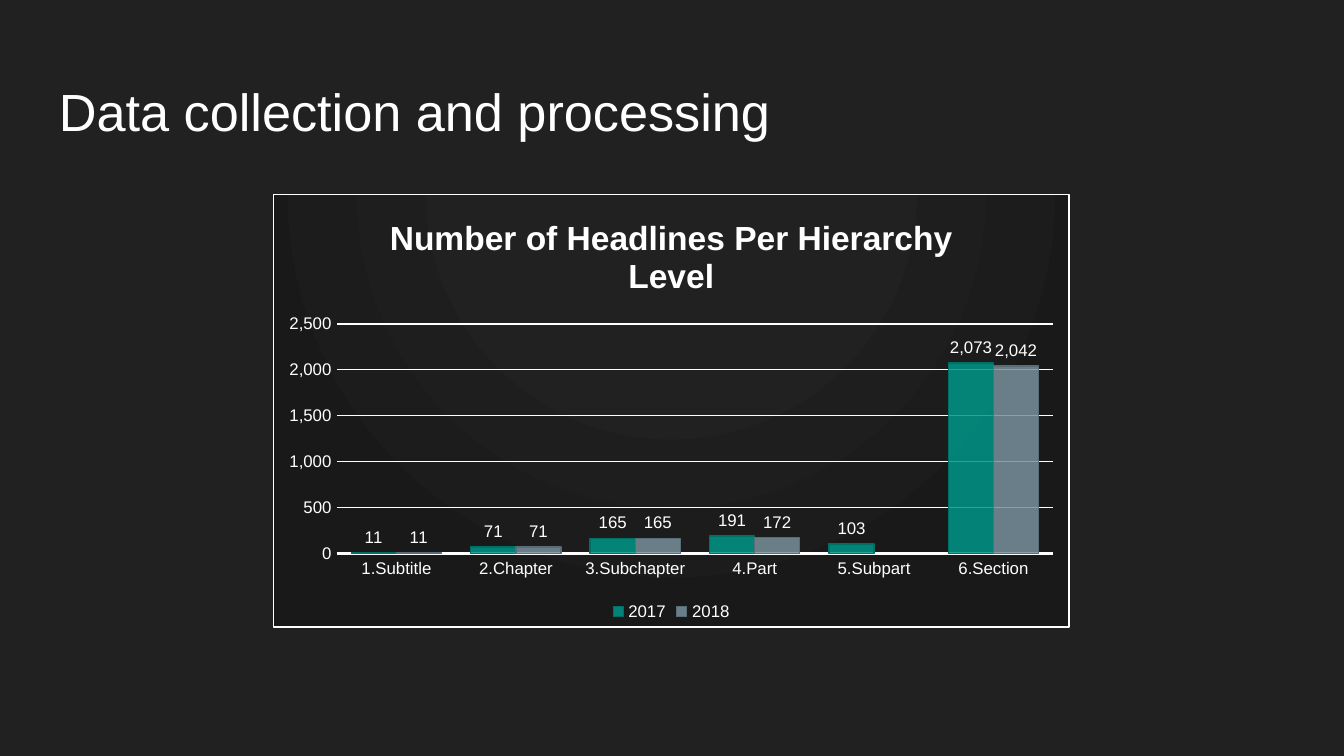
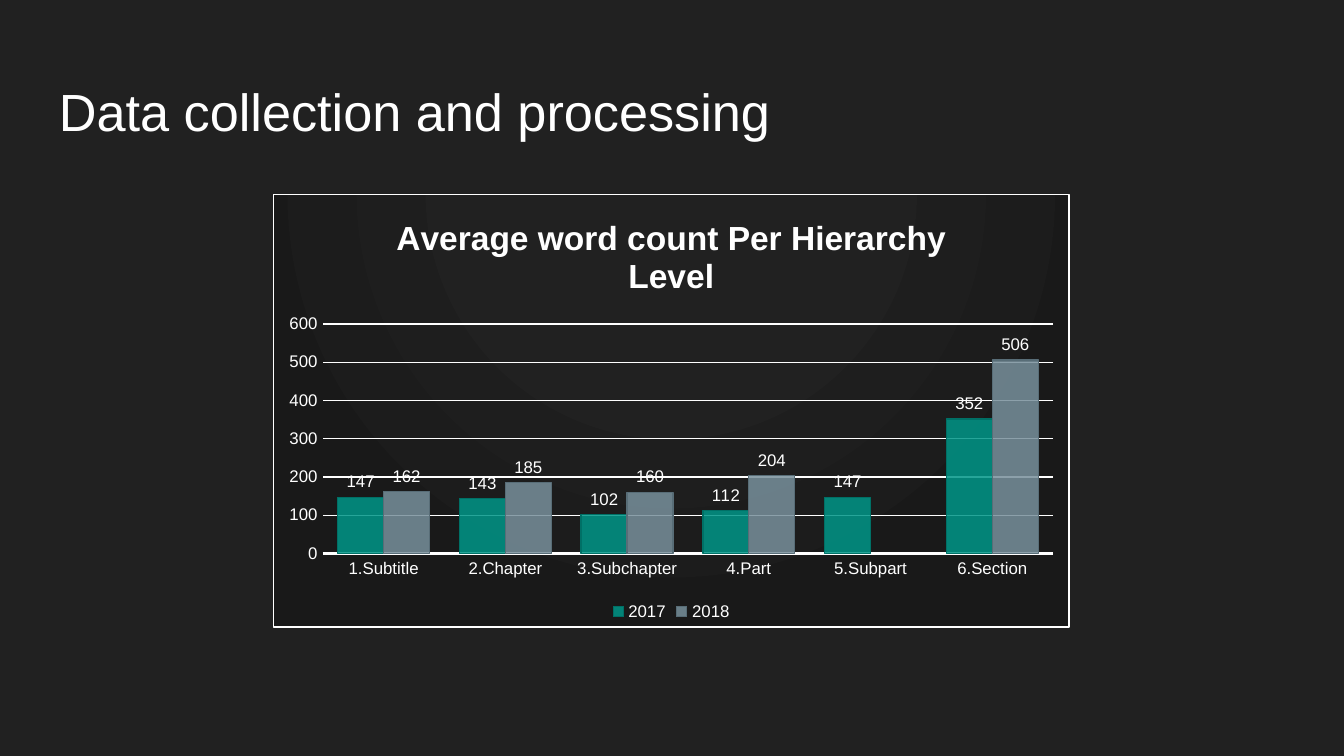
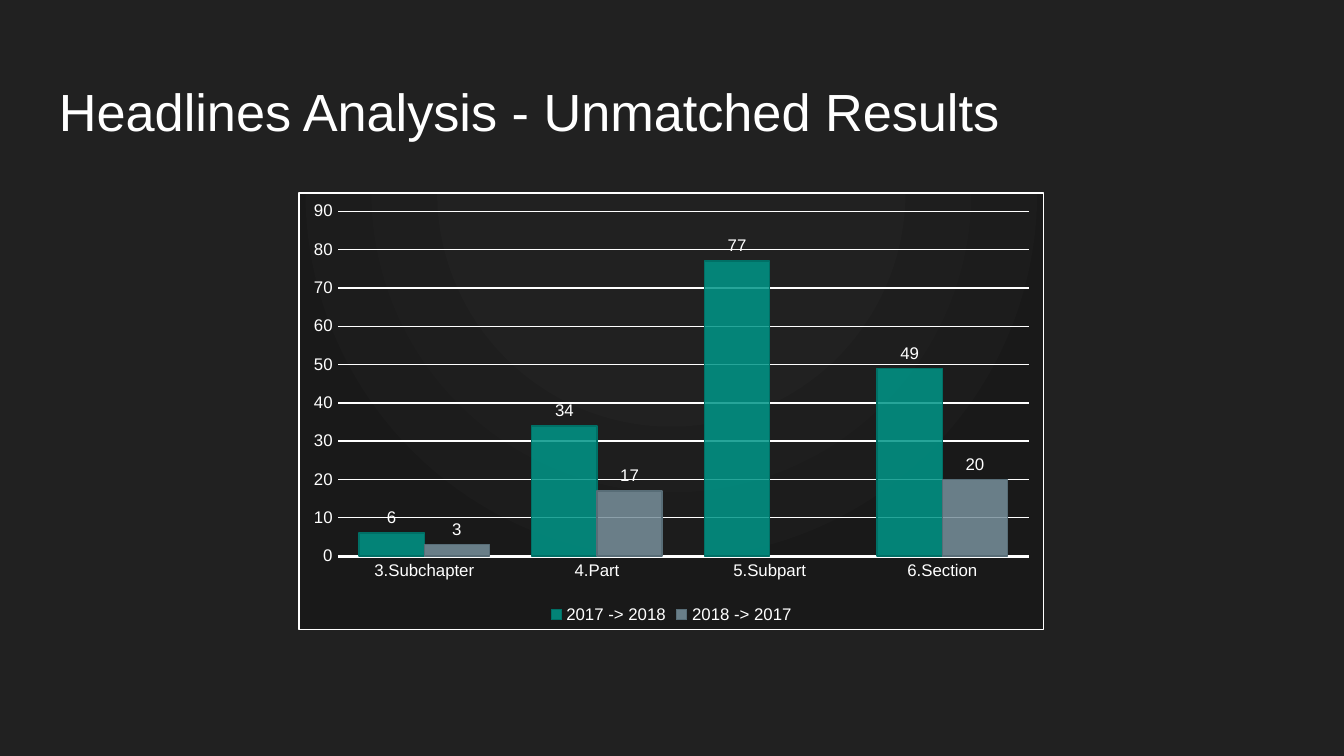
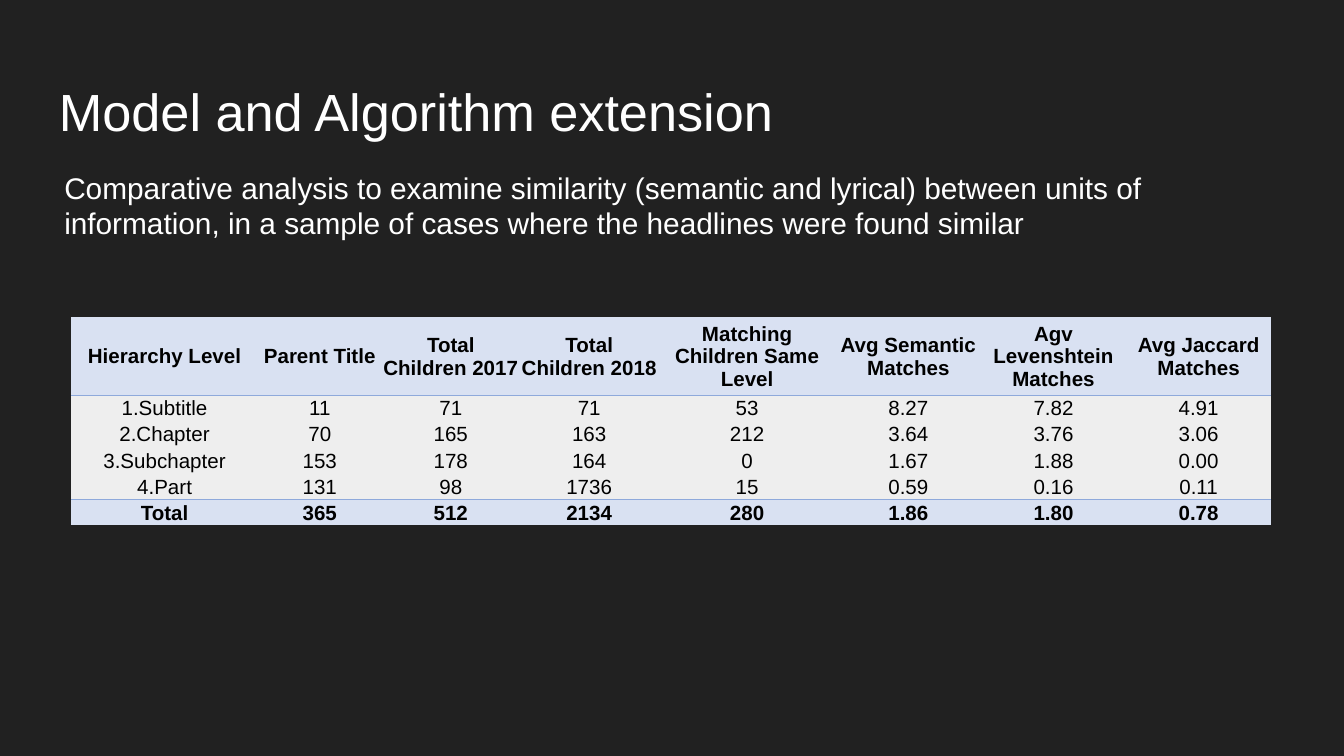
from dataclasses import dataclass

from lxml import etree
from pptx import Presentation
from pptx.chart.data import CategoryChartData
from pptx.dml.color import RGBColor
from pptx.enum.chart import XL_CHART_TYPE, XL_LABEL_POSITION, XL_LEGEND_POSITION, XL_TICK_MARK
from pptx.enum.text import MSO_ANCHOR, PP_ALIGN
from pptx.oxml import parse_xml
from pptx.oxml.ns import nsdecls, qn
from pptx.util import Inches, Pt

# Shared look
FONT = "Arial"
BACKGROUND = RGBColor(0x21, 0x21, 0x21)
CHART_EDGE = RGBColor(0x19, 0x19, 0x19)
WHITE = RGBColor(0xFF, 0xFF, 0xFF)
BLACK = RGBColor(0x00, 0x00, 0x00)
BAR_STYLES = [  # fill and outline of each series
    (RGBColor(0x00, 0x96, 0x88), RGBColor(0x00, 0x70, 0x66)),
    (RGBColor(0x78, 0x90, 0x9C), RGBColor(0x58, 0x6D, 0x77)),
]
HEADER_FILL = RGBColor(0xD9, 0xE1, 0xF2)
BODY_FILL = RGBColor(0xEE, 0xEE, 0xEE)
RULE = RGBColor(0x8E, 0xA9, 0xDB)
NO_TABLE_STYLE = "{2D5ABB26-0587-4C30-8999-92F81FD0307C}"


@dataclass
class Box:
    left: float
    top: float
    width: float
    height: float

    def lengths(self) -> tuple:
        return tuple(Inches(n) for n in (self.left, self.top, self.width, self.height))


@dataclass
class ChartSlide:
    heading: str
    box: Box
    categories: list
    series: dict
    chart_title: str = ""
    number_format: str = "General"


TITLE_BOX = Box(0.34, 0.49, 9.32, 0.63)
INTRO_BOX = Box(0.38, 1.21, 9.32, 0.64)
TABLE_BOX = Box(0.53, 2.36, 8.93, 1.56)
WIDE_CHART = Box(2.03, 1.44, 5.93, 3.23)
LEVELS = ["1.Subtitle", "2.Chapter", "3.Subchapter", "4.Part", "5.Subpart", "6.Section"]

CHART_SLIDES = [
    ChartSlide(
        "Data collection and processing", WIDE_CHART, LEVELS,
        {"2017": [11, 71, 165, 191, 103, 2073], "2018": [11, 71, 165, 172, None, 2042]},
        "Number of Headlines Per Hierarchy Level", "#,##0",
    ),
    ChartSlide(
        "Data collection and processing", WIDE_CHART, LEVELS,
        {"2017": [147, 143, 102, 112, 147, 352], "2018": [162, 185, 160, 204, None, 506]},
        "Average word count Per Hierarchy Level", "#,##0",
    ),
    ChartSlide(
        "Headlines Analysis - Unmatched Results", Box(2.22, 1.43, 5.55, 3.26), LEVELS[2:],
        {"2017 -> 2018": [6, 34, 77, 49], "2018 -> 2017": [3, 17, None, 20]},
    ),
]

INTRO = (
    "Comparative analysis to examine similarity (semantic and lyrical) between units of "
    "information, in a sample of cases where the headlines were found similar"
)
COLUMN_WIDTHS = [1.39, 0.92, 1.03, 1.03, 1.32, 1.08, 1.08, 1.08]
ROW_HEIGHTS = [0.58] + [0.19] * 5
MATCH_ROWS = [
    ["Hierarchy Level", "Parent Title", "Total Children 2017", "Total Children 2018",
     "Matching Children Same Level", "Avg Semantic Matches", "Agv Levenshtein Matches",
     "Avg Jaccard Matches"],
    ["1.Subtitle", "11", "71", "71", "53", "8.27", "7.82", "4.91"],
    ["2.Chapter", "70", "165", "163", "212", "3.64", "3.76", "3.06"],
    ["3.Subchapter", "153", "178", "164", "0", "1.67", "1.88", "0.00"],
    ["4.Part", "131", "98", "1736", "15", "0.59", "0.16", "0.11"],
    ["Total", "365", "512", "2134", "280", "1.86", "1.80", "0.78"],
]


def style_font(font, size: float, color: RGBColor = WHITE, bold: bool = False) -> None:
    font.name = FONT
    font.size = Pt(size)
    font.bold = bold
    font.color.rgb = color


def add_text(slide, box: Box, text: str, size: float, inset: float) -> None:
    frame = slide.shapes.add_textbox(*box.lengths()).text_frame
    frame.word_wrap = True
    frame.margin_left = frame.margin_right = Inches(0.1)
    frame.margin_top = frame.margin_bottom = Inches(inset)
    paragraph = frame.paragraphs[0]
    paragraph.text = text
    style_font(paragraph.font, size)


def add_titled_slide(presentation, heading: str):
    slide = presentation.slides.add_slide(presentation.slide_layouts[6])
    add_text(slide, TITLE_BOX, heading, 28, 0.1)
    return slide


def fill_chart_area(chart) -> None:
    """Radial gradient and thin white border behind the whole chart."""
    stops = "".join(
        f'<a:gs pos="{position * 1000}"><a:srgbClr val="{color}"/></a:gs>'
        for position, color in [(0, BACKGROUND), (39, BACKGROUND), (100, CHART_EDGE)]
    )
    area = parse_xml(
        f'<c:spPr {nsdecls("c", "a")}><a:gradFill><a:gsLst>{stops}</a:gsLst>'
        '<a:path path="circle"><a:fillToRect l="50000" t="-80000" r="50000" b="180000"/></a:path>'
        f'</a:gradFill><a:ln w="{Pt(0.75)}"><a:solidFill><a:srgbClr val="{WHITE}"/></a:solidFill>'
        "</a:ln></c:spPr>"
    )
    chart.element.find(qn("c:chart")).addnext(area)


def style_axes(chart, number_format: str) -> None:
    for axis in (chart.category_axis, chart.value_axis):
        axis.major_tick_mark = axis.minor_tick_mark = XL_TICK_MARK.NONE
        style_font(axis.tick_labels.font, 9)
    category_line = chart.category_axis.format.line
    category_line.color.rgb = WHITE
    category_line.width = Pt(1.5)
    values = chart.value_axis
    values.format.line.fill.background()
    values.tick_labels.number_format = number_format
    values.tick_labels.number_format_is_linked = False
    values.major_gridlines.format.line.color.rgb = WHITE
    values.major_gridlines.format.line.width = Pt(0.75)


def style_bars(plot, number_format: str) -> None:
    plot.gap_width = 65
    plot.vary_by_categories = False
    for series, (fill, outline) in zip(plot.series, BAR_STYLES):
        series.format.fill.solid()
        series.format.fill.fore_color.rgb = fill
        color = series.format.fill._xPr.find(".//" + qn("a:srgbClr"))
        etree.SubElement(color, qn("a:alpha"), val="85000")
        series.format.line.color.rgb = outline
        series.format.line.width = Pt(0.75)
        labels = series.data_labels
        labels.show_value = True
        labels.position = XL_LABEL_POSITION.OUTSIDE_END
        labels.number_format = number_format
        labels.number_format_is_linked = False
        style_font(labels.font, 9)


def add_chart_slide(presentation, content: ChartSlide) -> None:
    slide = add_titled_slide(presentation, content.heading)
    data = CategoryChartData(number_format=content.number_format)
    data.categories = content.categories
    for name, values in content.series.items():
        data.add_series(name, values)
    chart = slide.shapes.add_chart(
        XL_CHART_TYPE.COLUMN_CLUSTERED, *content.box.lengths(), data
    ).chart
    style_font(chart.font, 10)
    chart.has_title = bool(content.chart_title)
    if content.chart_title:
        paragraph = chart.chart_title.text_frame.paragraphs[0]
        paragraph.text = content.chart_title
        style_font(paragraph.font, 18, bold=True)
    chart.has_legend = True
    chart.legend.position = XL_LEGEND_POSITION.BOTTOM
    chart.legend.include_in_layout = False
    style_font(chart.legend.font, 9)
    style_axes(chart, content.number_format)
    style_bars(chart.plots[0], content.number_format)
    fill_chart_area(chart)


def set_cell_edge(cell, edge: str, ruled: bool) -> None:
    paint = f'<a:solidFill><a:srgbClr val="{RULE}"/></a:solidFill>' if ruled else "<a:noFill/>"
    line = parse_xml(f'<a:{edge} {nsdecls("a")} w="{Pt(0.5)}">{paint}</a:{edge}>')
    cell._tc.get_or_add_tcPr().insert(0, line)


def add_match_table(slide) -> None:
    table = slide.shapes.add_table(
        len(MATCH_ROWS), len(COLUMN_WIDTHS), *TABLE_BOX.lengths()
    ).table
    table.first_row = table.horz_banding = False
    table._tbl.tblPr.find(qn("a:tableStyleId")).text = NO_TABLE_STYLE
    for column, width in zip(table.columns, COLUMN_WIDTHS):
        column.width = Inches(width)
    last = len(MATCH_ROWS) - 1
    for index, (row, height, texts) in enumerate(zip(table.rows, ROW_HEIGHTS, MATCH_ROWS)):
        row.height = Inches(height)
        emphasized = index in (0, last)
        for cell, text in zip(row.cells, texts):
            cell.vertical_anchor = MSO_ANCHOR.MIDDLE
            cell.margin_left = cell.margin_right = cell.margin_top = Inches(0.01)
            cell.margin_bottom = 0
            cell.fill.solid()
            cell.fill.fore_color.rgb = HEADER_FILL if emphasized else BODY_FILL
            paragraph = cell.text_frame.paragraphs[0]
            paragraph.text = text
            paragraph.alignment = PP_ALIGN.CENTER
            style_font(paragraph.font, 11, BLACK, emphasized)
            # Rules below the header and above the total
            set_cell_edge(cell, "lnB", index in (0, last - 1))
            set_cell_edge(cell, "lnT", index in (1, last))


def main() -> None:
    presentation = Presentation()
    presentation.slide_width = Inches(10)
    presentation.slide_height = presentation.slide_width * 9 // 16
    background = presentation.slide_master.background.fill
    background.solid()
    background.fore_color.rgb = BACKGROUND

    # Bar chart slides
    for content in CHART_SLIDES:
        add_chart_slide(presentation, content)

    # Similarity table slide
    slide = add_titled_slide(presentation, "Model and Algorithm extension")
    add_text(slide, INTRO_BOX, INTRO, 16, 0.05)
    add_match_table(slide)

    presentation.save("out.pptx")


if __name__ == "__main__":
    main()
